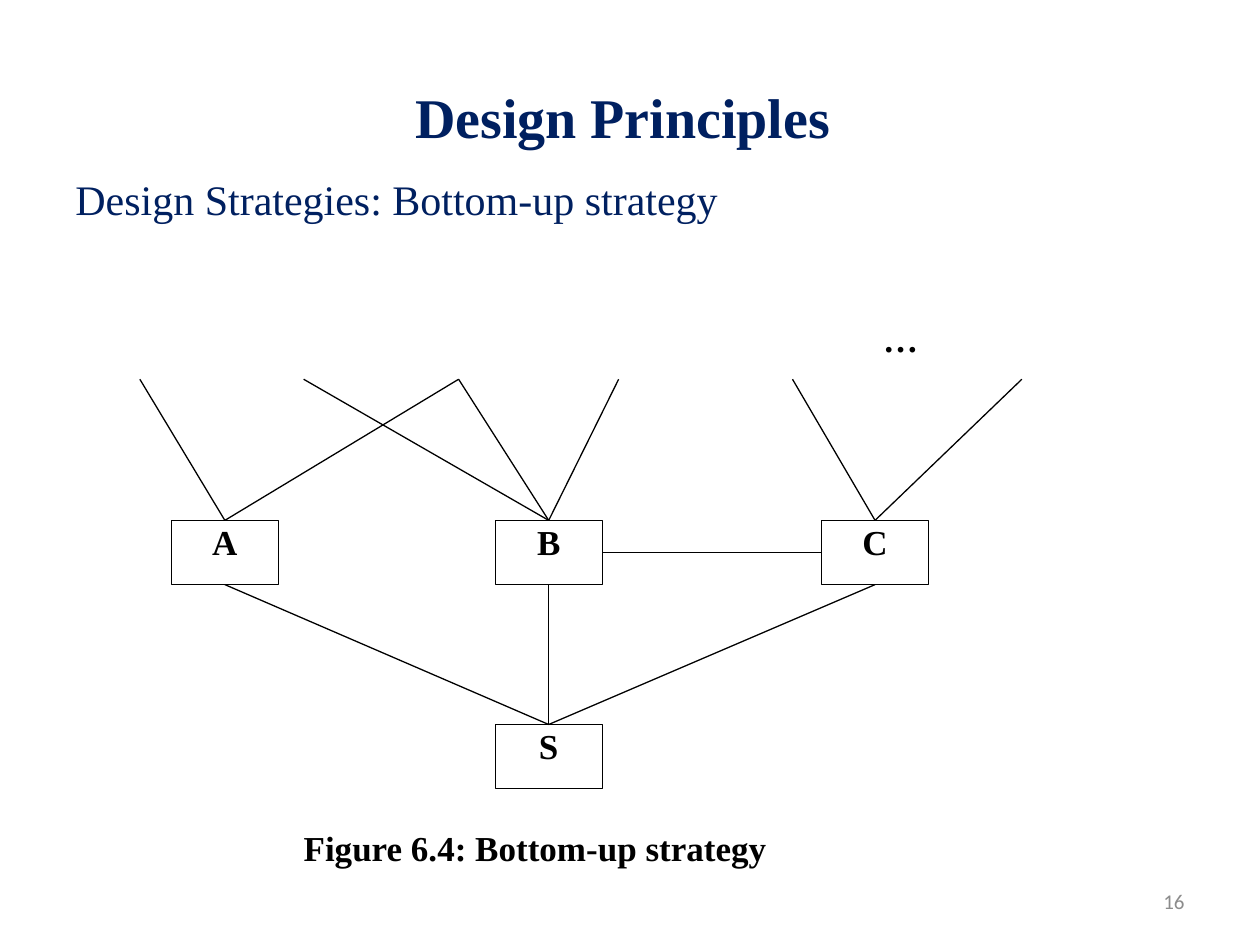
"""Build the slide on the bottom-up design strategy."""
from pptx import Presentation
from pptx.dml.color import RGBColor
from pptx.enum import shapes, text
from pptx.oxml import ns, xmlchemy
from pptx.util import Inches, Pt

NAVY = RGBColor(0x00, 0x20, 0x60)
BLACK = RGBColor(0x00, 0x00, 0x00)
WHITE = RGBColor(0xFF, 0xFF, 0xFF)
GRAY = RGBColor(0x8C, 0x8C, 0x8C)
SERIF = "Times New Roman"
LEFT, CENTER, RIGHT = text.PP_ALIGN.LEFT, text.PP_ALIGN.CENTER, text.PP_ALIGN.RIGHT
TOP, MIDDLE = text.MSO_ANCHOR.TOP, text.MSO_ANCHOR.MIDDLE

HEADINGS = [
    ("Design Principles ", (0.5, 0.3, 9, 1.25), CENTER, MIDDLE, SERIF, 32, NAVY, True),
    ("Design Strategies: Bottom-up strategy", (0.5, 1.33, 9, 0.5), LEFT, TOP, SERIF, 24, NAVY, False),
    ("16", (7.17, 6.95, 2.33, 0.4), RIGHT, MIDDLE, "Calibri", 12, GRAY, False),
]
MODULES = {"A": (1.36, 4.13), "B": (3.93, 4.13), "C": (6.52, 4.13), "S": (3.93, 5.75)}
INPUTS = {"A": [1.11, 3.64], "B": [2.41, 3.64, 4.91], "C": [6.29, 8.11]}
LABELS = [
    ("…", (7.01, 2.52, 0.28, 0.5)),
    ("Figure 6.4: Bottom-up strategy", (2.41, 6.56, 5.25, 0.46)),
]
MODULE_W, MODULE_H = 0.85, 0.51
INPUT_Y = 3.01


def write(shape, wording, align, anchor, font_name, size, color, bold):
    frame = shape.text_frame
    frame.word_wrap = True
    frame.vertical_anchor = anchor
    paragraph = frame.paragraphs[0]
    paragraph.text = wording
    paragraph.alignment = align
    font = paragraph.font
    font.name, font.size, font.bold = font_name, Pt(size), bold
    font.color.rgb = color


def add_box(slide, wording, area, outline, align):
    box = slide.shapes.add_shape(shapes.MSO_SHAPE.RECTANGLE, *map(Inches, area))
    box.shadow.inherit = False
    box.fill.solid()
    box.fill.fore_color.rgb = WHITE
    box.line.color.rgb = outline
    box.line.width = Pt(0.75)
    frame = box.text_frame
    frame.margin_left = frame.margin_right = frame.margin_top = frame.margin_bottom = 0
    write(box, wording, align, TOP, SERIF, 20, BLACK, True)


def add_link(slide, start, end):
    link = slide.shapes.add_connector(
        shapes.MSO_CONNECTOR.STRAIGHT, *map(Inches, (*start, *end)))
    link.line.color.rgb = BLACK
    link.line.width = Pt(0.75)
    link._element.spPr.append(xmlchemy.OxmlElement("a:effectLst"))


def anchor_point(module, across, down):
    left, top = MODULES[module]
    return left + across * MODULE_W, top + down * MODULE_H


def main():
    deck = Presentation()
    deck.slide_width, deck.slide_height = Inches(10), Inches(7.5)
    slide = deck.slides.add_slide(deck.slide_layouts[6])

    for wording, area, *style in HEADINGS:
        write(slide.shapes.add_textbox(*map(Inches, area)), wording, *style)
    for module, corner in MODULES.items():
        add_box(slide, module, (*corner, MODULE_W, MODULE_H), BLACK, CENTER)
    for wording, area in LABELS:
        add_box(slide, wording, area, WHITE, LEFT)

    for module, positions in INPUTS.items():
        for x in positions:
            add_link(slide, (x, INPUT_Y), anchor_point(module, 0.5, 0))
        add_link(slide, anchor_point(module, 0.5, 1), anchor_point("S", 0.5, 0))
    add_link(slide, anchor_point("B", 1, 0.5), anchor_point("C", 0, 0.5))

    deck.save("out.pptx")


if __name__ == "__main__":
    main()
